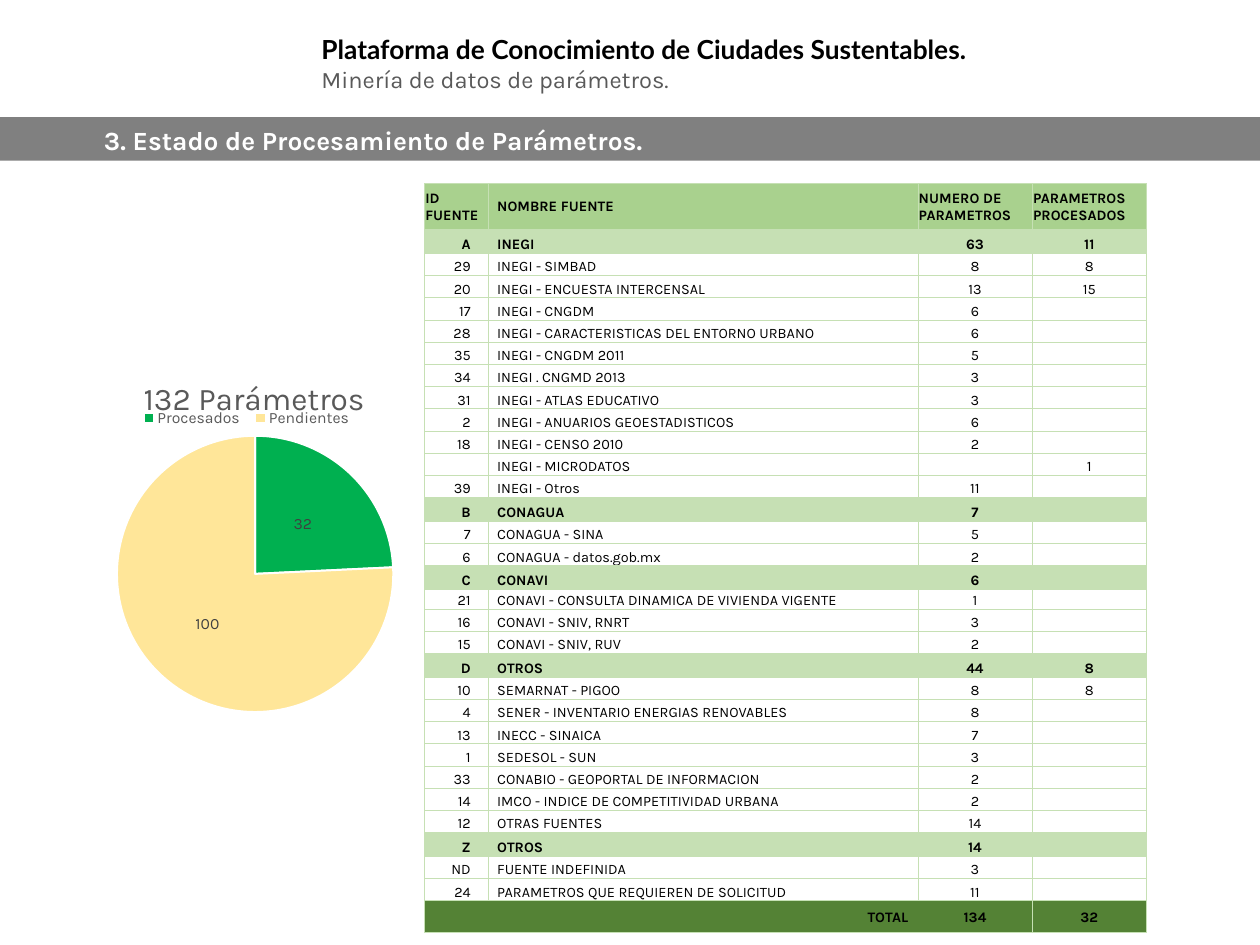
import lxml.etree
import pptx
import pptx.chart.data
import pptx.dml.color
import pptx.enum.chart
import pptx.enum.shapes
import pptx.enum.text
import pptx.oxml.ns
import pptx.util

Inches = pptx.util.Inches
Align = pptx.enum.text.PP_ALIGN
Anchor = pptx.enum.text.MSO_ANCHOR
qn = pptx.oxml.ns.qn

BLACK, WHITE, GREY, DARK_GREY = "000000", "FFFFFF", "808080", "595959"
HEADER_GREEN, SECTION_GREEN, TOTAL_GREEN = "A9D18E", "C6E0B4", "548235"

SOURCES = [
    ("ID FUENTE", "NOMBRE FUENTE", "NUMERO DE PARAMETROS", "PARAMETROS PROCESADOS"),
    ("A", "INEGI", "63", "11"),
    ("29", "INEGI - SIMBAD", "8", "8"),
    ("20", "INEGI - ENCUESTA INTERCENSAL", "13", "15"),
    ("17", "INEGI - CNGDM", "6", ""),
    ("28", "INEGI - CARACTERISTICAS DEL ENTORNO URBANO", "6", ""),
    ("35", "INEGI - CNGDM 2011", "5", ""),
    ("34", "INEGI . CNGMD 2013", "3", ""),
    ("31", "INEGI - ATLAS EDUCATIVO", "3", ""),
    ("2", "INEGI - ANUARIOS GEOESTADISTICOS", "6", ""),
    ("18", "INEGI - CENSO 2010", "2", ""),
    ("", "INEGI - MICRODATOS", "", "1"),
    ("39", "INEGI - Otros", "11", ""),
    ("B", "CONAGUA", "7", ""),
    ("7", "CONAGUA - SINA", "5", ""),
    ("6", "CONAGUA - datos.gob.mx", "2", ""),
    ("C", "CONAVI", "6", ""),
    ("21", "CONAVI - CONSULTA DINAMICA DE VIVIENDA VIGENTE", "1", ""),
    ("16", "CONAVI - SNIV, RNRT", "3", ""),
    ("15", "CONAVI - SNIV, RUV", "2", ""),
    ("D", "OTROS", "44", "8"),
    ("10", "SEMARNAT - PIGOO", "8", "8"),
    ("4", "SENER - INVENTARIO ENERGIAS RENOVABLES", "8", ""),
    ("13", "INECC - SINAICA", "7", ""),
    ("1", "SEDESOL - SUN", "3", ""),
    ("33", "CONABIO - GEOPORTAL DE INFORMACION", "2", ""),
    ("14", "IMCO - INDICE DE COMPETITIVIDAD URBANA", "2", ""),
    ("12", "OTRAS FUENTES", "14", ""),
    ("Z", "OTROS", "14", ""),
    ("ND", "FUENTE INDEFINIDA", "3", ""),
    ("24", "PARAMETROS QUE REQUIEREN DE SOLICITUD", "11", ""),
    ("TOTAL", "", "134", "32"),
]
COLUMN_WIDTHS = (0.68, 4.54, 1.21, 1.21)
COLUMN_ALIGNS = (Align.RIGHT, Align.LEFT, Align.CENTER, Align.CENTER)
COLUMN_MARGINS = ((0.01, 0.19), (0.09, 0.01), (0.01, 0.01), (0.01, 0.01))
LAST = len(SOURCES) - 1
SHORT_ROW = 17
SECTIONS = [i for i, row in enumerate(SOURCES) if len(row[0]) == 1 and row[0].isalpha()]


def color(value):
    return pptx.dml.color.RGBColor.from_string(value)


class SlideBuilder:
    """Holds the style and the slide being built."""

    def __init__(self, deck):
        self.face = "Karla"
        self.slide = deck.slides.add_slide(deck.slide_layouts[5])

    def style(self, font, size, tint, bold=False, face=None):
        font.name = face or self.face
        font.size = pptx.util.Pt(size)
        font.bold = bold
        font.color.rgb = color(tint)

    def heading(self, lines, left, top, width, height):
        box = self.slide.shapes.title
        box.left, box.top, box.width, box.height = map(Inches, (left, top, width, height))
        frame = box.text_frame
        frame.text = "\n".join(text for text, *_ in lines)
        frame.vertical_anchor = Anchor.TOP
        frame.auto_size = pptx.enum.text.MSO_AUTO_SIZE.SHAPE_TO_FIT_TEXT
        for para, (_, *font_style) in zip(frame.paragraphs, lines):
            para.alignment = Align.LEFT
            self.style(para.runs[0].font, *font_style)

    def rule(self, top, width):
        line = self.slide.shapes.add_connector(
            pptx.enum.shapes.MSO_CONNECTOR.STRAIGHT, 0, Inches(top), Inches(width), Inches(top))
        line.line.color.rgb = color(GREY)
        line.line.width = pptx.util.Pt(3)
        lxml.etree.SubElement(line.element.spPr, qn("a:effectLst"))

    def band(self, text, top, width, height):
        box = self.slide.shapes.add_shape(
            pptx.enum.shapes.MSO_SHAPE.RECTANGLE, 0, Inches(top), Inches(width), Inches(height))
        box.shadow.inherit = False
        box.fill.solid()
        box.fill.fore_color.rgb = color(GREY)
        box.line.fill.background()
        frame = box.text_frame
        frame.text = text
        frame.word_wrap = True
        frame.margin_left = Inches(1.1)
        para = frame.paragraphs[0]
        para.alignment = Align.LEFT
        self.style(para.runs[0].font, 20, WHITE, True)

    def borders(self, cell, open_sides):
        properties = cell._tc.get_or_add_tcPr()
        for place, side in enumerate("LRTB"):
            line = lxml.etree.Element(qn(f"a:ln{side}"), w=str(pptx.util.Pt(0.5)))
            if side in open_sides:
                lxml.etree.SubElement(line, qn("a:noFill"))
            else:
                fill = lxml.etree.SubElement(line, qn("a:solidFill"))
                lxml.etree.SubElement(fill, qn("a:srgbClr"), val=SECTION_GREEN)
            properties.insert(place, line)

    def cell(self, cell, text, fill, bold, align, anchor, margins, open_sides):
        cell.text = text
        cell.vertical_anchor = anchor
        cell.margin_left, cell.margin_right = map(Inches, margins)
        cell.margin_top, cell.margin_bottom = Inches(0.01), 0
        if fill:
            cell.fill.solid()
            cell.fill.fore_color.rgb = color(fill)
        else:
            cell.fill.background()
        para = cell.text_frame.paragraphs[0]
        para.alignment = align
        for span in para.runs:
            self.style(span.font, 11, BLACK, bold)
        if not text:
            lxml.etree.SubElement(para._p, qn("a:endParaRPr"), sz="1100")
        self.borders(cell, open_sides)

    def source_table(self, left, top, width, height):
        table = self.slide.shapes.add_table(
            len(SOURCES), len(COLUMN_WIDTHS), *map(Inches, (left, top, width, height))).table
        table.first_row = table.horz_banding = False
        for column, size in zip(table.columns, COLUMN_WIDTHS):
            column.width = Inches(size)
        heights = {0: 0.49, SHORT_ROW: 0.21, LAST: 0.34, **dict.fromkeys(SECTIONS, 0.25)}
        plain = (height - sum(heights.values())) / (len(SOURCES) - len(heights))
        fills = {0: HEADER_GREEN, LAST: TOTAL_GREEN, **dict.fromkeys(SECTIONS, SECTION_GREEN)}
        for i, texts in enumerate(SOURCES):
            table.rows[i].height = Inches(heights.get(i, plain))
            anchor = Anchor.MIDDLE if i in (0, LAST) else Anchor.BOTTOM
            for j, text in enumerate(texts):
                align, margins, open_sides = COLUMN_ALIGNS[j], COLUMN_MARGINS[j], ""
                if i == 0:
                    align, margins = Align.LEFT, (0.09 if j == 1 else 0.01, 0.01)
                if i == LAST and j < 3:
                    open_sides = "RRL"[j]
                    margins = margins if j == 2 else (0.1, 0.1)
                self.cell(table.cell(i, j), text, fills.get(i), i in fills,
                          align, anchor, margins, open_sides)
        table.cell(LAST, 0).merge(table.cell(LAST, 1))

    def place(self, part, index, **fractions):
        for old in part.findall(qn("c:layout")):
            part.remove(old)
        layout = lxml.etree.Element(qn("c:layout"))
        manual = lxml.etree.SubElement(layout, qn("c:manualLayout"))
        if part.tag == qn("c:plotArea"):
            lxml.etree.SubElement(manual, qn("c:layoutTarget"), val="inner")
        for mode in ("xMode", "yMode"):
            lxml.etree.SubElement(manual, qn(f"c:{mode}"), val="edge")
        for name, value in fractions.items():
            lxml.etree.SubElement(manual, qn(f"c:{name}"), val=str(value))
        part.insert(index, layout)

    def pie(self, title, slices, left, top, width, height):
        data = pptx.chart.data.CategoryChartData()
        data.categories = [name for name, _, _ in slices]
        data.add_series(title, [value for _, value, _ in slices])
        chart = self.slide.shapes.add_chart(
            pptx.enum.chart.XL_CHART_TYPE.PIE, *map(Inches, (left, top, width, height)), data).chart
        self.style(chart.font, 10, BLACK)
        chart.has_title = True
        chart.chart_title.text_frame.text = title
        self.style(chart.chart_title.text_frame.paragraphs[0].runs[0].font, 24, DARK_GREY)
        chart.has_legend = True
        chart.legend.position = pptx.enum.chart.XL_LEGEND_POSITION.BOTTOM
        chart.legend.include_in_layout = False
        self.style(chart.legend.font, 12, DARK_GREY)
        chart.plots[0].vary_by_categories = True
        series = chart.plots[0].series[0]
        for i, (_, _, tint) in enumerate(slices):
            point = series.points[i].format
            point.fill.solid()
            point.fill.fore_color.rgb = color(tint)
            point.line.color.rgb = color(WHITE)
            point.line.width = pptx.util.Pt(1.5)
        labels = series.data_labels
        labels.show_value = True
        labels.position = pptx.enum.chart.XL_LABEL_POSITION.CENTER
        self.style(labels.font, 12, "404040")
        body = chart.element.find(qn("c:chart"))
        self.place(body.find(qn("c:title")), 1, x=0.23, y=0.05)
        self.place(body.find(qn("c:legend")), 1, x=0.22, y=0.13, w=0.54, h=0.06)
        self.place(body.find(qn("c:plotArea")), 0, x=0.18, y=0.2, w=0.66, h=0.67)
        area = lxml.etree.Element(qn("c:spPr"))
        lxml.etree.SubElement(area, qn("a:noFill"))
        lxml.etree.SubElement(lxml.etree.SubElement(area, qn("a:ln")), qn("a:noFill"))
        body.addnext(area)


def main():
    deck = pptx.Presentation()
    deck.slide_width, deck.slide_height = Inches(13.33), Inches(10)
    builder = SlideBuilder(deck)
    builder.heading([
        ("Plataforma de Conocimiento de Ciudades Sustentables.", 20, BLACK, True, "Lato"),
        ("Minería de datos de parámetros.", 18, DARK_GREY),
    ], 3.3, 0.3, 9.46, 0.74)
    builder.rule(1.26, 13.33)
    builder.source_table(4.49, 1.94, 7.64, 7.94)
    builder.band("3. Estado de Procesamiento de Parámetros.", 1.26, 13.33, 0.44)
    builder.pie("132 Parámetros", [("Procesados", 32, "00B050"), ("Pendientes", 100, "FFE699")],
                0.44, 3.72, 4.43, 4.4)
    deck.save("out.pptx")


if __name__ == "__main__":
    main()
